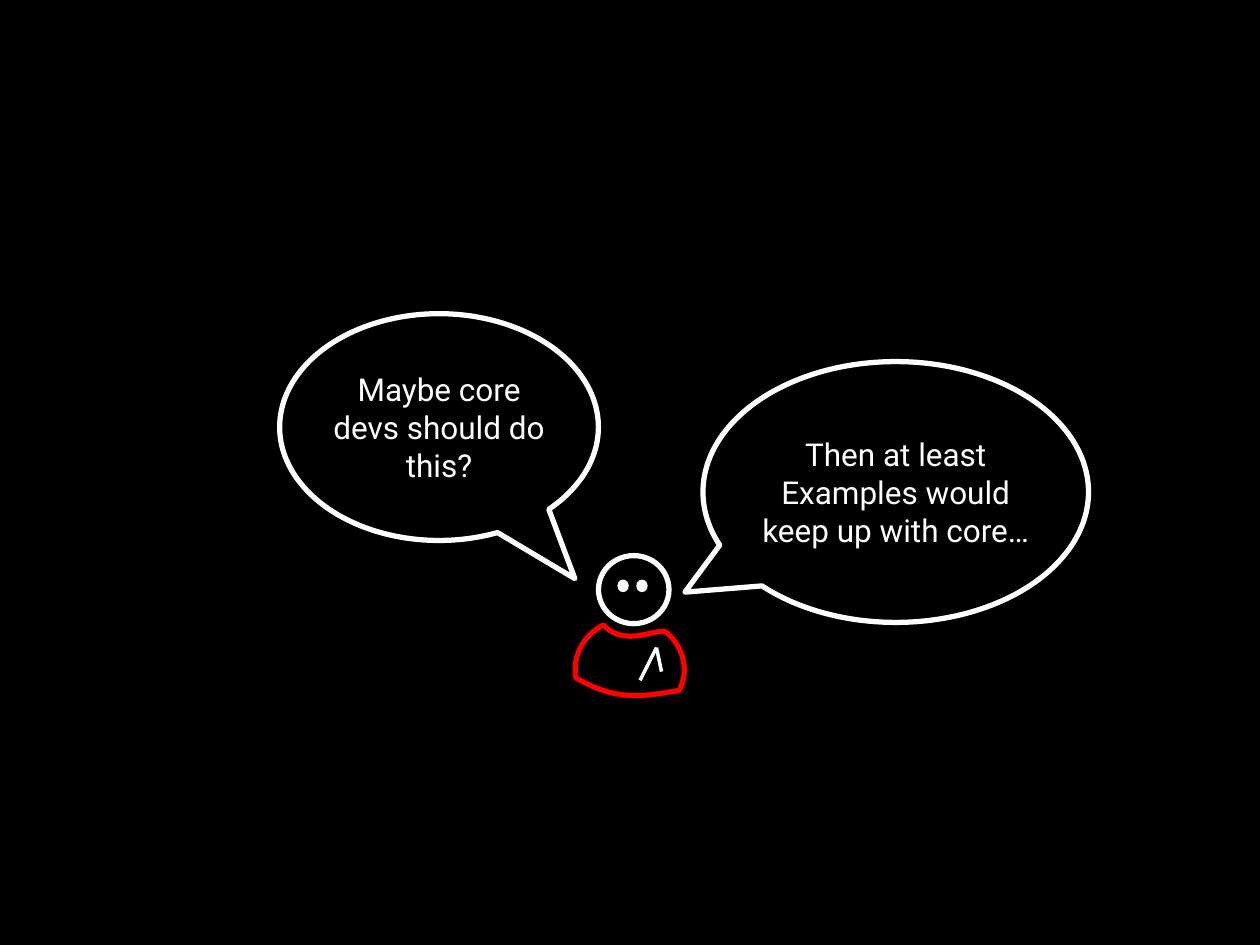
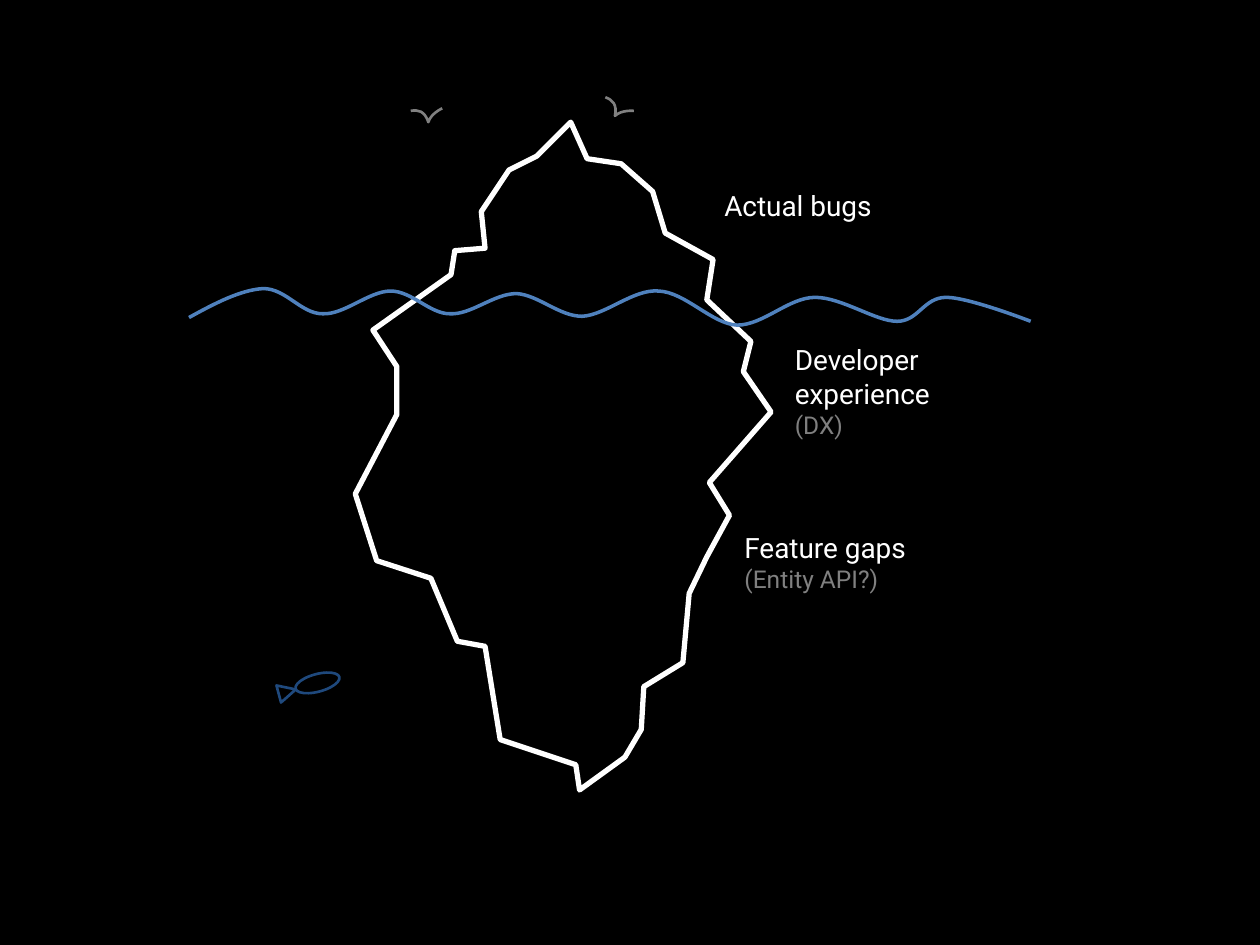
from lxml import etree
from pptx import Presentation
from pptx.dml.color import RGBColor as RGB
from pptx.enum.shapes import MSO_CONNECTOR as LINK, MSO_SHAPE as KIND
from pptx.enum.text import MSO_ANCHOR as ANCHOR, MSO_AUTO_SIZE as AUTO, PP_ALIGN as ALIGN
from pptx.oxml.ns import qn
from pptx.util import Inches, Pt

BLACK = RGB(0, 0, 0)
WHITE = RGB(255, 255, 255)
RED = RGB(255, 0, 0)
GRAY = RGB(128, 128, 128)
DIM = RGB(127, 127, 127)
BLUE = RGB(0x4F, 0x81, 0xBD)
NAVY = RGB(0x1F, 0x49, 0x7D)
FONT = "Roboto"

# Slide 1: box, pointer adjustments, words
SPEECH = [
    ((5.58, 2.87, 3.06, 2.07), (-0.547, 0.384),
     "Then at least Examples would keep up with core…"),
    ((2.22, 2.49, 2.53, 1.8), (0.426, 0.668),
     "Maybe core devs should do this?"),
]
HEAD = (4.75, 4.41, 0.56, 0.54)
EYES = [(4.9, 4.6, 0.09, 0.1), (5.05, 4.6, 0.09, 0.1)]
ELBOW = (5.21, 5.14)
HANDS = [(5.08, 5.4), (5.25, 5.33)]

# Curves: a start point, then two handles and an end point for each piece
BODY = [(4.57, 5.38), (4.54, 5.21), (4.63, 5.04), (4.79, 4.96),
        (4.96, 5.15), (5.23, 4.97), (5.29, 5.02),
        (5.43, 5.14), (5.47, 5.33), (5.39, 5.48),
        (5.13, 5.52), (4.91, 5.58), (4.57, 5.38)]

# Slide 2: box, main label, side note, note color
LABELS = [
    ((5.65, 1.45, 2.13, 0.37), "Actual bugs", None, None),
    ((6.21, 2.67, 2.08, 0.91), "Developer experience", "(DX)", DIM),
    ((5.81, 4.16, 2.56, 0.61), "Feature gaps", "(Entity API?)", GRAY),
]
BERG = [(4.53, 0.97), (4.26, 1.24), (4.04, 1.35), (3.82, 1.68), (3.85, 1.97),
        (3.61, 1.99), (3.58, 2.18), (2.96, 2.62), (3.15, 2.91), (3.15, 3.29),
        (2.82, 3.92), (2.99, 4.45), (3.42, 4.59), (3.63, 5.09), (3.85, 5.13),
        (3.97, 5.87), (4.57, 6.07), (4.6, 6.27), (4.96, 6.01), (5.09, 5.79),
        (5.11, 5.45), (5.42, 5.26), (5.47, 4.71), (5.61, 4.42), (5.79, 4.09),
        (5.63, 3.83), (6.12, 3.27), (5.9, 2.95), (5.96, 2.71), (5.61, 2.38),
        (5.66, 2.06), (5.28, 1.85), (5.18, 1.52), (4.93, 1.3), (4.66, 1.26),
        (4.53, 0.97)]
WAVE = [(1.5, 2.52), (1.7, 2.41), (1.91, 2.3), (2.09, 2.29),
        (2.27, 2.29), (2.39, 2.49), (2.56, 2.49),
        (2.73, 2.5), (2.93, 2.31), (3.1, 2.31),
        (3.27, 2.31), (3.41, 2.49), (3.57, 2.49),
        (3.74, 2.5), (3.92, 2.33), (4.1, 2.33),
        (4.27, 2.34), (4.44, 2.51), (4.62, 2.51),
        (4.81, 2.5), (5.03, 2.29), (5.23, 2.31),
        (5.44, 2.32), (5.65, 2.57), (5.85, 2.58),
        (6.06, 2.58), (6.26, 2.36), (6.47, 2.36),
        (6.68, 2.36), (6.95, 2.55), (7.12, 2.55),
        (7.29, 2.55), (7.33, 2.36), (7.51, 2.36),
        (7.69, 2.36), (8.18, 2.55), (8.18, 2.55)]
BIRD = [(0, 0.02), (0.06, 0.01), (0.11, 0.02), (0.14, 0.11),
        (0.16, 0.04), (0.25, 0), (0.25, 0)]
BIRDS = [((3.26, 0.86), 0), ((4.77, 0.81), 30)]  # place, turn
FISH = [(KIND.OVAL, (2.34, 5.35, 0.36, 0.14), 345),
        (KIND.ISOSCELES_TRIANGLE, (2.21, 5.42, 0.14, 0.14), 75)]


def style(shape, line=None, width=3, fill=None, turn=0):
    shape.shadow.inherit = False
    shape.rotation = turn
    if fill is None:
        shape.fill.background()
    else:
        shape.fill.solid()
        shape.fill.fore_color.rgb = fill
    if line is None:
        shape.line.fill.background()
    else:
        shape.line.color.rgb = line
        shape.line.width = Pt(width)
    return shape


def draw(shapes, kind, box, **look):
    return style(shapes.add_shape(kind, *map(Inches, box)), **look)


def outline(shapes, dots, close=False, **look):
    dots = [(Inches(x), Inches(y)) for x, y in dots]
    pen = shapes.build_freeform(*dots[0], scale=1.0)
    pen.add_line_segments(dots[1:], close=close)
    return style(pen.convert_to_shape(), **look)


def curve(shapes, knots, **look):
    """Outline through every third knot, bent by the two handles between."""
    shape = outline(shapes, knots[::3], **look)
    legs = list(shape._element.iter(qn("a:lnTo")))
    for i, leg in enumerate(legs):
        leg.tag = qn("a:cubicBezTo")
        for spot, (x, y) in enumerate(knots[3 * i + 1:3 * i + 3]):
            handle = etree.Element(qn("a:pt"))
            handle.set("x", str(Inches(x) - shape.left))
            handle.set("y", str(Inches(y) - shape.top))
            leg.insert(spot, handle)


def stroke(shapes, start, end, color, width):
    link = shapes.add_connector(LINK.STRAIGHT, *map(Inches, start + end))
    link.line.color.rgb = color
    link.line.width = Pt(width)
    etree.SubElement(link._element.spPr, qn("a:effectLst"))


def write(para, text, size=16, color=WHITE, align=ALIGN.LEFT):
    para.alignment = align
    run = para.add_run()
    run.text = text
    run.font.name = FONT
    run.font.size = Pt(size)
    run.font.color.rgb = color


def page(deck):
    slide = deck.slides.add_slide(deck.slide_layouts[6])
    slide.background.fill.solid()
    slide.background.fill.fore_color.rgb = BLACK
    return slide.shapes


def talk(shapes):
    # Speaker
    curve(shapes, BODY, close=True, line=RED)
    draw(shapes, KIND.OVAL, HEAD, line=WHITE)
    for hand in HANDS:
        stroke(shapes, ELBOW, hand, WHITE, 2)

    # Speech bubbles
    for box, tip, words in SPEECH:
        bubble = draw(shapes, KIND.OVAL_CALLOUT, box, line=WHITE)
        for i, value in enumerate(tip):
            bubble.adjustments[i] = value
        frame = bubble.text_frame
        frame.word_wrap = True
        frame.vertical_anchor = ANCHOR.MIDDLE
        frame.margin_left = frame.margin_right = 0
        frame.margin_top = frame.margin_bottom = 0
        write(frame.paragraphs[0], words, size=18, align=ALIGN.CENTER)

    for eye in EYES:
        draw(shapes, KIND.OVAL, eye, fill=WHITE)


def iceberg(shapes):
    # Ice and water
    outline(shapes, BERG, close=True, line=WHITE)
    curve(shapes, WAVE, line=BLUE, width=2)

    # Fish
    fish = shapes.add_group_shape().shapes
    for kind, box, turn in FISH:
        draw(fish, kind, box, line=NAVY, width=1.5, turn=turn)

    # Labels
    for box, label, note, color in LABELS:
        frame = shapes.add_textbox(*map(Inches, box)).text_frame
        frame.word_wrap = True
        frame.auto_size = AUTO.SHAPE_TO_FIT_TEXT
        write(frame.paragraphs[0], label)
        if note:
            write(frame.add_paragraph(), note, size=14, color=color)

    # Birds
    for (left, top), turn in BIRDS:
        knots = [(left + x, top + y) for x, y in BIRD]
        curve(shapes, knots, line=GRAY, width=1.5, turn=turn)


def main():
    deck = Presentation()
    deck.slide_width, deck.slide_height = Inches(10), Inches(7.5)
    talk(page(deck))
    iceberg(page(deck))
    deck.save("out.pptx")


if __name__ == "__main__":
    main()
